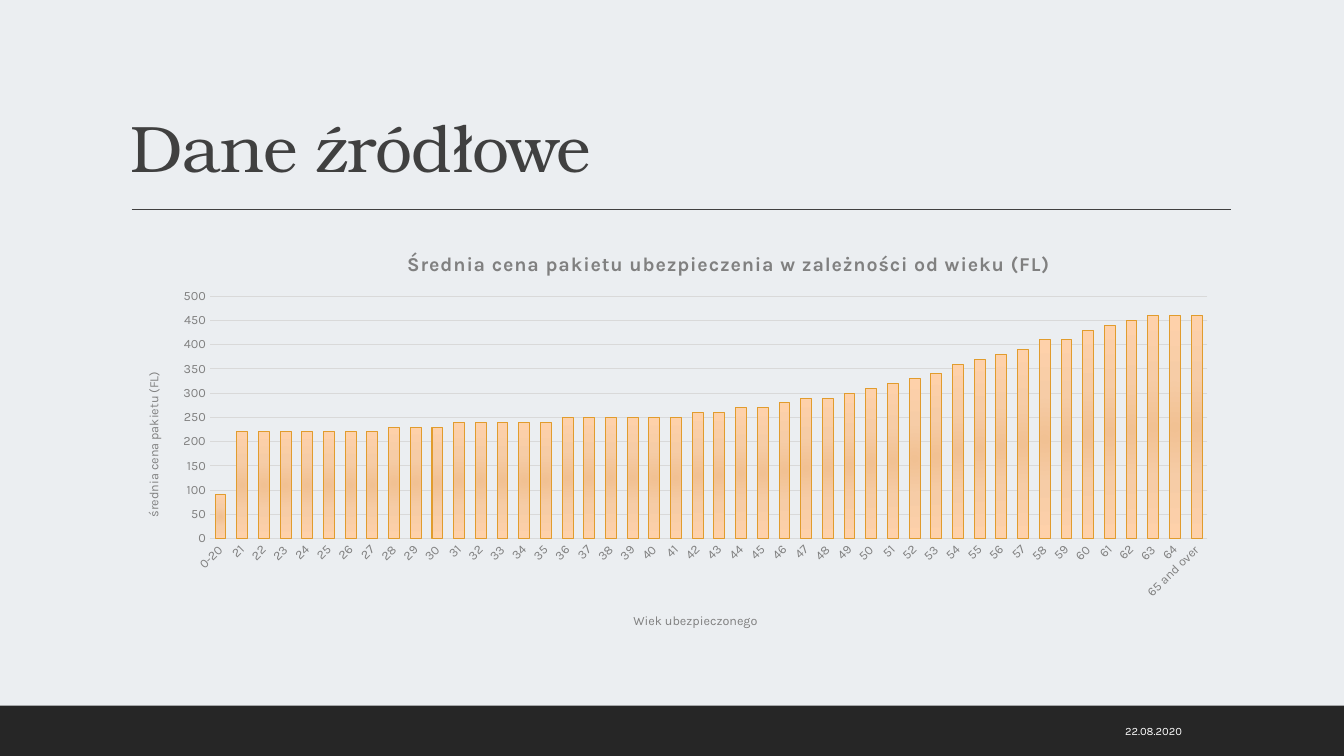
from dataclasses import dataclass

import lxml.etree
import pptx
import pptx.chart.data
import pptx.dml.color
import pptx.enum.chart
import pptx.enum.shapes
import pptx.enum.text
import pptx.oxml
import pptx.oxml.ns
import pptx.util

Cm = pptx.util.Cm
Pt = pptx.util.Pt
qn = pptx.oxml.ns.qn


@dataclass(frozen=True)
class Theme:
    """Colours, fonts and type sizes of the slide."""
    background: str = "EBEEF1"
    dark: str = "262626"
    heading: str = "404040"
    white: str = "FFFFFF"
    muted: str = "808080"
    grid: str = "D9D9D9"
    bar_line: str = "E19C2D"
    bar_stops: tuple = ((0, "F1C193"), (45, "F6CCA6"), (100, "FED1AA"))
    heading_font: str = "TeX Gyre Bonum"
    body_font: str = "Karla"
    heading_size: float = 47
    chart_title_size: float = 14
    axis_size: float = 9
    date_size: float = 8


THEME = Theme()
AGES = ["0-20", *map(str, range(21, 65)), "65 and over"]
PRICES = [
    90, 220, 220, 220, 220, 220, 220, 220, 230, 230, 230, 240, 240, 240, 240, 240,
    250, 250, 250, 250, 250, 250, 260, 260, 270, 270, 280, 290, 290, 300, 310, 320,
    330, 340, 360, 370, 380, 390, 410, 410, 430, 440, 450, 460, 460, 460,
]


def rgb(colour):
    """Turn a hex string into a colour."""
    return pptx.dml.color.RGBColor.from_string(colour)


def style_font(font, name, size, colour, bold=False):
    """Set the face, size and colour of a font."""
    font.name, font.size, font.bold = name, Pt(size), bold
    font.color.rgb = rgb(colour)


def style_line(line, colour, width):
    """Set the colour and width of a line."""
    line.color.rgb = rgb(colour)
    line.width = Pt(width)


def add_text(slide, box, text, font_style, anchor, alignment):
    """Add a one-paragraph text box and return its paragraph."""
    text_frame = slide.shapes.add_textbox(*box).text_frame
    text_frame.word_wrap = True
    text_frame.vertical_anchor = anchor
    text_frame.text = text
    paragraph = text_frame.paragraphs[0]
    paragraph.alignment = alignment
    style_font(paragraph.runs[0].font, *font_style)
    return paragraph


def add_heading(slide, box, text):
    """Place the heading in its box, with a rule below it."""
    left, top, width, height = box
    paragraph = add_text(
        slide, box, text, (THEME.heading_font, THEME.heading_size, THEME.heading),
        pptx.enum.text.MSO_ANCHOR.BOTTOM, pptx.enum.text.PP_ALIGN.LEFT)
    paragraph.line_spacing = 0.9
    paragraph.runs[0].font._element.set("spc", "-50")
    rule_top = top + height + Cm(0.44)
    rule = slide.shapes.add_connector(
        pptx.enum.shapes.MSO_CONNECTOR.STRAIGHT,
        left + Cm(0.27), rule_top, left + width + Cm(0.02), rule_top)
    style_line(rule.line, THEME.heading, 1)
    lxml.etree.SubElement(rule._element.spPr, qn("a:effectLst"))


def add_footer(slide, box, date):
    """Draw the dark band and the date inside it."""
    left, top, width, height = box
    band = slide.shapes.add_shape(pptx.enum.shapes.MSO_SHAPE.RECTANGLE, *box)
    band.shadow.inherit = False
    band.fill.solid()
    band.fill.fore_color.rgb = rgb(THEME.dark)
    band.line.fill.background()
    date_box = (left + width - Cm(11.02), top + Cm(0.13), Cm(7.19), height - Cm(0.25))
    add_text(slide, date_box, date, (THEME.body_font, THEME.date_size, THEME.white),
             pptx.enum.text.MSO_ANCHOR.MIDDLE, pptx.enum.text.PP_ALIGN.RIGHT)


def set_layout(element, index, **fractions):
    """Give a chart part a manual layout in fractions of the chart."""
    for layout in element.findall(qn("c:layout")):
        element.remove(layout)
    layout = pptx.oxml.parse_xml(f"<c:layout {pptx.oxml.ns.nsdecls('c')}/>")
    manual = lxml.etree.SubElement(layout, qn("c:manualLayout"))
    if "w" in fractions:
        lxml.etree.SubElement(manual, qn("c:layoutTarget")).set("val", "inner")
    for key in ("x", "y"):
        lxml.etree.SubElement(manual, qn(f"c:{key}Mode")).set("val", "edge")
    for key, value in fractions.items():
        lxml.etree.SubElement(manual, qn(f"c:{key}")).set("val", str(value))
    element.insert(index, layout)


def set_title(title, text, size, bold, x, y):
    """Write and place a chart or axis title."""
    title.text_frame.text = text
    run = title.text_frame.paragraphs[0].runs[0]
    style_font(run.font, THEME.body_font, size, THEME.muted, bold)
    set_layout(title._element, 1, x=x, y=y)
    return run


def fill_bars(series):
    """Give the bars a circular gradient and an outline."""
    style_line(series.format.line, THEME.bar_line, 0.75)
    stops = "".join(
        f'<a:gs pos="{position * 1000}"><a:srgbClr val="{colour}"/></a:gs>'
        for position, colour in THEME.bar_stops)
    gradient = pptx.oxml.parse_xml(
        f'<a:gradFill {pptx.oxml.ns.nsdecls("a")} rotWithShape="1"><a:gsLst>{stops}</a:gsLst>'
        '<a:path path="circle"><a:fillToRect l="100000" t="100000" r="100000" b="100000"/>'
        '</a:path></a:gradFill>')
    series._element.spPr.insert(0, gradient)


def style_axis(axis):
    """Apply the settings shared by both axes."""
    axis.major_tick_mark = axis.minor_tick_mark = pptx.enum.chart.XL_TICK_MARK.NONE
    style_font(axis.tick_labels.font, THEME.body_font, THEME.axis_size, THEME.muted)


def add_price_chart(slide, box):
    """Place the column chart of prices by age in its box."""
    data = pptx.chart.data.CategoryChartData(number_format="0")
    data.categories = AGES
    data.add_series("Series 1", PRICES)
    chart = slide.shapes.add_chart(
        pptx.enum.chart.XL_CHART_TYPE.COLUMN_CLUSTERED, *box, data).chart
    chart.has_legend = False
    chart.font.name, chart.font.size = THEME.body_font, Pt(10)
    title_run = set_title(
        chart.chart_title, "Średnia cena pakietu ubezpieczenia w zależności od wieku (FL)",
        THEME.chart_title_size, True, 0.255, 0.035)
    title_run.font._element.set("spc", "50")

    plot = chart.plots[0]
    plot.gap_width, plot.overlap, plot.vary_by_categories = 100, -24, False
    fill_bars(plot.series[0])
    set_layout(chart._chartSpace.chart.plotArea, 0, x=0.08, y=0.153, w=0.9, h=0.585)

    ages, prices = chart.category_axis, chart.value_axis
    style_axis(ages)
    style_axis(prices)
    style_line(ages.format.line, THEME.grid, 0.75)
    ages.tick_labels.font._element.getparent().getparent().getparent().find(
        qn("a:bodyPr")).set("rot", "-2700000")
    set_title(ages.axis_title, "Wiek ubezpieczonego", THEME.axis_size, False, 0.46, 0.91)
    prices.minimum_scale, prices.maximum_scale, prices.major_unit = 0, 500, 50
    prices.format.line.fill.background()
    style_line(prices.major_gridlines.format.line, THEME.grid, 0.75)
    set_title(prices.axis_title, "średnia cena pakietu (FL)", THEME.axis_size, False, 0.02, 0.33)
    body = prices.axis_title.text_frame._element.find(qn("a:bodyPr"))
    body.set("rot", "-5400000")
    body.set("vert", "horz")


def main():
    """Build the slide and save it."""
    presentation = pptx.Presentation()
    presentation.slide_width, presentation.slide_height = Cm(33.87), Cm(19.05)
    slide = presentation.slides.add_slide(presentation.slide_layouts[6])
    slide.background.fill.solid()
    slide.background.fill.fore_color.rgb = rgb(THEME.background)
    left, width = Cm(3.05), Cm(27.94)
    add_footer(slide, (0, Cm(17.78), presentation.slide_width, Cm(1.27)), "22.08.2020")
    add_heading(slide, (left, Cm(0.8), width, Cm(4.04)), "Dane źródłowe")
    add_price_chart(slide, (left, Cm(5.87), width, Cm(10.44)))
    presentation.save("out.pptx")


if __name__ == "__main__":
    main()
